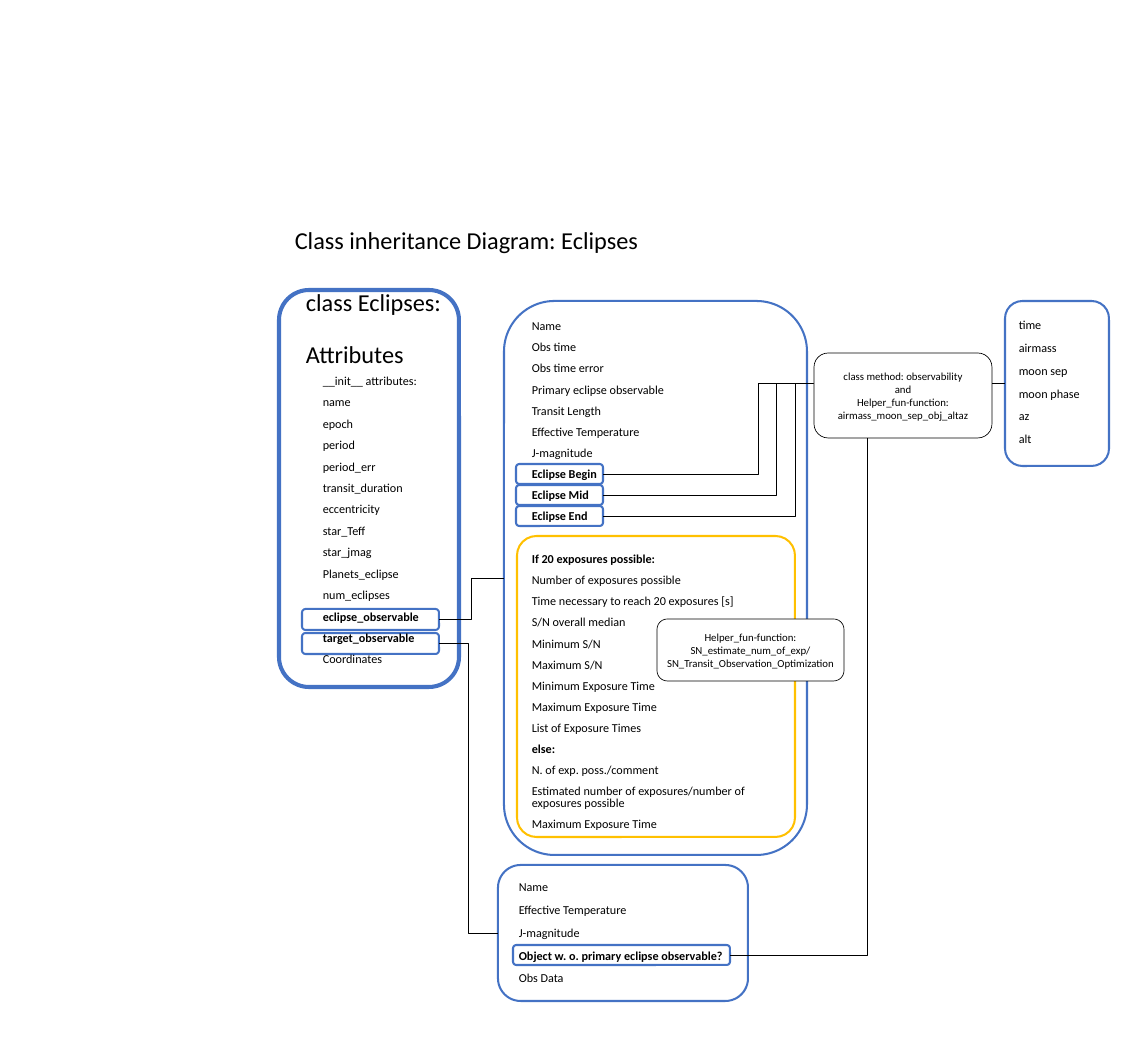
from dataclasses import dataclass

from lxml import etree
from pptx import Presentation
from pptx.dml.color import RGBColor
from pptx.enum.shapes import MSO_CONNECTOR, MSO_SHAPE
from pptx.enum.text import MSO_ANCHOR, MSO_AUTO_SIZE, PP_ALIGN
from pptx.oxml.ns import qn
from pptx.util import Emu, Pt

ROUNDED = MSO_SHAPE.ROUNDED_RECTANGLE
ELBOW = MSO_CONNECTOR.ELBOW
TOP, MIDDLE = MSO_ANCHOR.TOP, MSO_ANCHOR.MIDDLE
LEFT, CENTER = PP_ALIGN.LEFT, PP_ALIGN.CENTER
NO_AUTOFIT = MSO_AUTO_SIZE.NONE
LEFT_SITE, RIGHT_SITE = 1, 3
EMU_PER_PX = 914400 / 48.6


@dataclass(frozen=True)
class Theme:
    font: str = "Calibri"
    black: RGBColor = RGBColor(0, 0, 0)
    white: RGBColor = RGBColor(255, 255, 255)
    blue: RGBColor = RGBColor(0x44, 0x72, 0xC4)
    gold: RGBColor = RGBColor(0xFF, 0xC0, 0)
    title_size: float = 36
    list_size: float = 18
    callout_size: float = 16


THEME = Theme()


@dataclass(frozen=True)
class Box:
    x: int
    y: int
    w: int
    h: int

    def emu(self) -> tuple:
        return tuple(px(v) for v in (self.x, self.y, self.w, self.h))


@dataclass(frozen=True)
class Panel:
    box: Box
    line_width: float = 3
    color: RGBColor = THEME.blue
    corner: float = 0.1667


@dataclass(frozen=True)
class TextStyle:
    size: float = THEME.list_size
    line_spacing: float = 1.0
    before: float = 0
    align: int = LEFT


@dataclass(frozen=True)
class TextList:
    box: Box
    style: TextStyle
    lines: tuple
    bold: tuple = ()
    section: str = ""
    section_gap: float = 0
    wrap: bool = True


@dataclass(frozen=True)
class Link:
    start: str
    end: str
    bend: float = 0.5


def px(value: float) -> Emu:
    return Emu(round(value * EMU_PER_PX))


def write(tf, lines: tuple, style: TextStyle, bold: tuple = ()) -> None:
    for i, line in enumerate(lines):
        p = tf.paragraphs[0] if i == 0 else tf.add_paragraph()
        p.text = line
        p.alignment = style.align
        p.line_spacing = style.line_spacing
        p.space_before = Pt(style.before if i else 0)
        p.font.name = THEME.font
        p.font.size = Pt(style.size)
        p.font.bold = line in bold
        p.font.color.rgb = THEME.black


def draw_panel(s, panel: Panel):
    sp = s.shapes.add_shape(ROUNDED, *panel.box.emu())
    sp.shadow.inherit = False
    sp.adjustments[0] = panel.corner
    sp.fill.solid()
    sp.fill.fore_color.rgb = THEME.white
    sp.line.color.rgb = panel.color
    sp.line.width = Pt(panel.line_width)
    return sp


def draw_list(s, block: TextList) -> None:
    tf = s.shapes.add_textbox(*block.box.emu()).text_frame
    tf.word_wrap = block.wrap
    tf.vertical_anchor = TOP
    write(tf, block.lines, block.style, block.bold)
    if block.section:
        p = tf.paragraphs[block.lines.index(block.section)]
        p.space_before = Pt(block.section_gap)


def draw_callout(s, box: Box, lines: tuple) -> None:
    tf = draw_panel(s, Panel(box, 1, THEME.black)).text_frame
    tf.word_wrap = True
    tf.vertical_anchor = MIDDLE
    write(tf, lines, TextStyle(THEME.callout_size, align=CENTER))


def draw_link(s, link: Link, panels: dict) -> None:
    cxn = s.shapes.add_connector(ELBOW, 0, 0, 0, 0)
    cxn.begin_connect(panels[link.start], LEFT_SITE)
    cxn.end_connect(panels[link.end], RIGHT_SITE)
    cxn.line.color.rgb = THEME.black
    cxn.line.width = Pt(0.5)
    sp_pr = cxn._element.spPr
    guides = sp_pr.find(qn("a:prstGeom")).get_or_add_avLst()
    etree.SubElement(guides, qn("a:gd"), name="adj1", fmla=f"val {round(link.bend * 100000)}")
    etree.SubElement(sp_pr, qn("a:effectLst"))


def place_title(s, box: Box, lines: tuple) -> None:
    title = s.shapes.title
    title.left, title.top, title.width, title.height = box.emu()
    tf = title.text_frame
    tf.auto_size = NO_AUTOFIT
    tf.word_wrap = True
    tf.vertical_anchor = MIDDLE
    write(tf, lines, TextStyle(THEME.title_size, 0.9, 38))
    s.shapes._spTree.append(title._element)


PANELS = {
    "target table": Panel(Box(498, 865, 250, 136)),
    "eclipse table": Panel(Box(504, 301, 303, 554)),
    "class": Panel(Box(279, 290, 180, 397), 6),
    "results": Panel(Box(1005, 301, 104, 165)),
    "eclipse_observable": Panel(Box(302, 609, 137, 21)),
    "target_observable": Panel(Box(302, 633, 137, 21)),
    "object": Panel(Box(513, 945, 217, 20)),
    "exposures": Panel(Box(517, 536, 278, 301), color=THEME.gold, corner=0.07),
}
PHASES = ("Eclipse Begin", "Eclipse Mid", "Eclipse End")
PANELS.update({phase: Panel(Box(516, 464 + 21 * i, 87, 20)) for i, phase in enumerate(PHASES)})

LINKS = (
    Link("eclipse table", "eclipse_observable"),
    Link("target table", "target_observable"),
    Link("results", "Eclipse Begin", 0.615),
    Link("results", "Eclipse Mid", 0.569),
    Link("results", "Eclipse End", 0.521),
    Link("results", "object"),
)

TABLE_STYLE = TextStyle(line_spacing=0.9, before=14.2)
OBJECT_LINE = "Object w. o. primary eclipse observable?"
EXPOSURE_LINE = "If 20 exposures possible:"
LISTS = (
    TextList(Box(1014, 317, 82, 134), TABLE_STYLE,
             ("time", "airmass", "moon sep", "moon phase", "az", "alt")),
    TextList(Box(514, 879, 217, 119), TABLE_STYLE,
             ("Name", "Effective Temperature", "J-magnitude", OBJECT_LINE, "Obs Data"),
             (OBJECT_LINE,)),
    TextList(Box(527, 319, 268, 518), TextStyle(line_spacing=0.8, before=14),
             ("Name", "Obs time", "Obs time error", "Primary eclipse observable",
              "Transit Length", "Effective Temperature", "J-magnitude", *PHASES,
              EXPOSURE_LINE, "Number of exposures possible",
              "Time necessary to reach 20 exposures [s]", "S/N overall median",
              "Minimum S/N", "Maximum S/N", "Minimum Exposure Time",
              "Maximum Exposure Time", "List of Exposure Times", "else:",
              "N. of exp. poss./comment",
              "Estimated number of exposures/number of exposures possible",
              "Maximum Exposure Time"),
             (*PHASES, EXPOSURE_LINE, "else:"), EXPOSURE_LINE, 46),
    TextList(Box(318, 364, 131, 315), TextStyle(line_spacing=1.47),
             ("__init__ attributes:", "name", "epoch", "period", "period_err",
              "transit_duration", "eccentricity", "star_Teff", "star_jmag",
              "Planets_eclipse", "num_eclipses", "eclipse_observable",
              "target_observable", "Coordinates"),
             ("eclipse_observable", "target_observable")),
    TextList(Box(290, 223, 356, 35), TextStyle(THEME.title_size),
             ("Class inheritance Diagram: Eclipses",), wrap=False),
)

CALLOUTS = (
    (Box(814, 353, 178, 85),
     ("class method: observability", "and", "Helper_fun-function:", "airmass_moon_sep_obj_altaz")),
    (Box(657, 619, 187, 62),
     ("Helper_fun-function: SN_estimate_num_of_exp/", "SN_Transit_Observation_Optimization")),
)

prs = Presentation()
prs.slide_width, prs.slide_height = px(1148), px(1052)
s = prs.slides.add_slide(prs.slide_layouts[5])
drawn = {name: draw_panel(s, panel) for name, panel in PANELS.items()}
place_title(s, Box(301, 311, 149, 37), ("class Eclipses:", "Attributes"))
for link in LINKS:
    draw_link(s, link, drawn)
for block in LISTS:
    draw_list(s, block)
for box, lines in CALLOUTS:
    draw_callout(s, box, lines)
prs.save("out.pptx")
